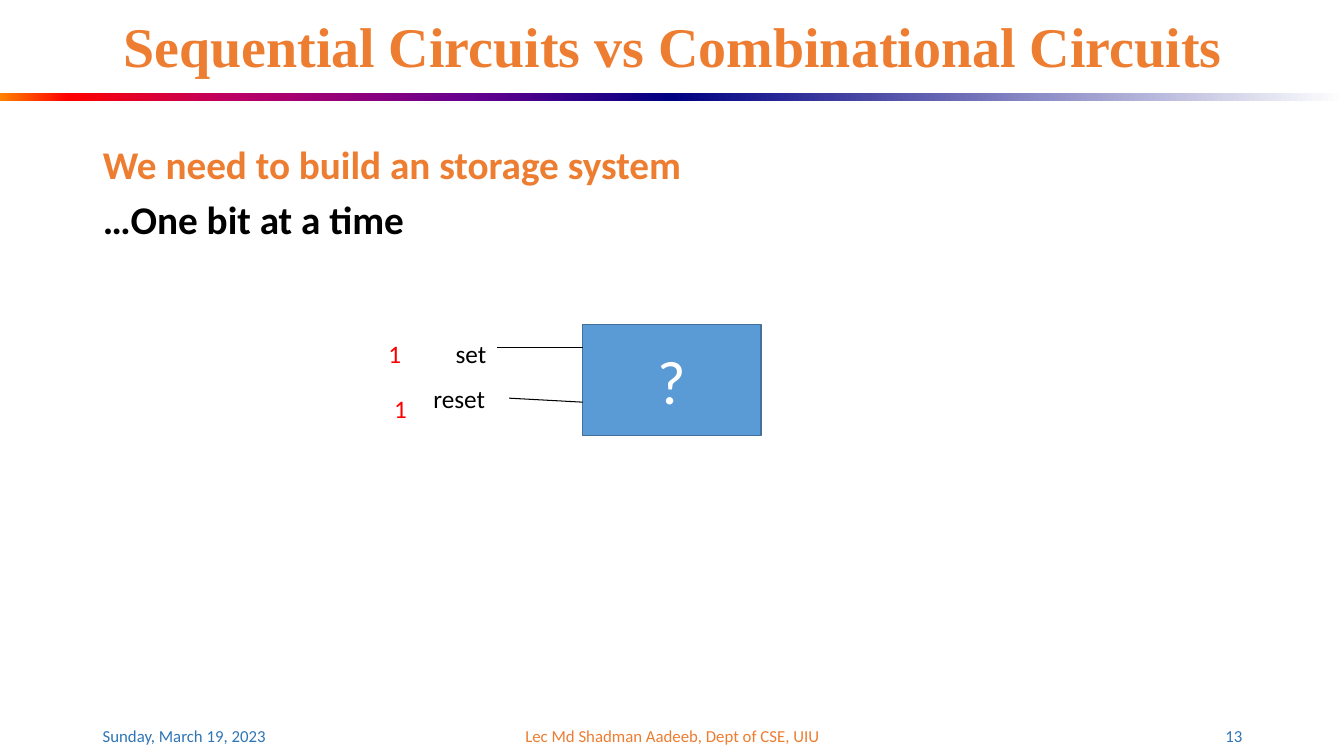
from lxml.etree import SubElement
from pptx import Presentation
from pptx.dml.color import RGBColor
from pptx.enum.shapes import MSO_CONNECTOR, MSO_SHAPE
from pptx.enum.text import MSO_ANCHOR, MSO_AUTO_SIZE, PP_ALIGN
from pptx.oxml.ns import qn
from pptx.util import Pt

EMU_PER_PX = 9144
SLIDE_WIDTH, SLIDE_HEIGHT = 1333, 750
COLORS = {
    "accent": "ED7D31",
    "text": "000000",
    "footer": "2E75B5",
    "box": "5B9BD5",
    "box_line": "42719B",
    "white": "FFFFFF",
    "signal": "FF0000",
}
RULE_GRADIENTS = [
    [(0, "FF8200"), (10, "FF0000"), (35, "BA0066"), (70, "66008F"), (100, "000082")],
    [(0, "000082"), (100, "FFFFFF")],
]


def px(*lengths):
    return [round(length * EMU_PER_PX) for length in lengths]


def color(name):
    return RGBColor.from_string(COLORS[name])


def format_paragraph(paragraph, size, color_name, align=PP_ALIGN.LEFT, bold=False, font="Calibri"):
    paragraph.alignment = align
    paragraph.font.name = font
    paragraph.font.size = Pt(size)
    paragraph.font.bold = bold
    paragraph.font.color.rgb = color(color_name)


def place(shape, box):
    shape.left, shape.top, shape.width, shape.height = px(*box)


def add_label(slide, box, text, size, color_name, align=PP_ALIGN.LEFT, anchor=MSO_ANCHOR.TOP, wrap=False):
    frame = slide.shapes.add_textbox(*px(*box)).text_frame
    frame.word_wrap = wrap
    frame.vertical_anchor = anchor
    frame.text = text
    format_paragraph(frame.paragraphs[0], size, color_name, align)


def add_header_rule(slide, box):
    left, top, width, height = box
    half = width / 2
    for index, stops in enumerate(RULE_GRADIENTS):
        bar = slide.shapes.add_shape(MSO_SHAPE.RECTANGLE, *px(left + index * half, top, half, height))
        bar.shadow.inherit = False
        bar.line.fill.background()
        bar.fill.gradient()
        bar.fill.gradient_angle = 0
        stop_list = bar.element.spPr.find(qn("a:gradFill")).find(qn("a:gsLst"))
        stop_list.clear()
        for position, value in stops:
            stop = SubElement(stop_list, qn("a:gs"), pos=str(position * 1000))
            SubElement(stop, qn("a:srgbClr"), val=value)


def add_title(slide, box):
    title = slide.shapes.title
    place(title, box)
    frame = title.text_frame
    frame.text = "Sequential Circuits vs Combinational Circuits"
    frame.auto_size = MSO_AUTO_SIZE.NONE
    frame.vertical_anchor = MSO_ANCHOR.MIDDLE
    format_paragraph(frame.paragraphs[0], 40, "accent", PP_ALIGN.CENTER, True, "Times New Roman")
    frame.paragraphs[0].line_spacing = 0.9


def add_body(slide, box):
    body = slide.placeholders[1]
    place(body, box)
    frame = body.text_frame
    frame.text = "We need to build an storage system\n…One bit at a time"
    frame.auto_size = MSO_AUTO_SIZE.NONE
    for paragraph, color_name, space in zip(frame.paragraphs, ("accent", "text"), (0, 5.6)):
        properties = paragraph._p.get_or_add_pPr()
        properties.set("marL", "0")
        properties.set("indent", "0")
        SubElement(properties, qn("a:buNone"))
        paragraph.space_before = Pt(space)
        format_paragraph(paragraph, 28, color_name, bold=True)


def add_storage_diagram(slide, box):
    left, top, width, height = box
    cell_left = left + 203
    cell = slide.shapes.add_shape(
        MSO_SHAPE.RECTANGLE, *px(cell_left, top, width - 203, height))
    cell.shadow.inherit = False
    cell.fill.solid()
    cell.fill.fore_color.rgb = color("box")
    cell.line.color.rgb = color("box_line")
    cell.line.width = Pt(1)
    cell.text_frame.text = "?"
    cell.text_frame.vertical_anchor = MSO_ANCHOR.MIDDLE
    format_paragraph(cell.text_frame.paragraphs[0], 44, "white", PP_ALIGN.CENTER)

    inputs = [
        ("set", (67, 9, 63, 40), (0, 9, 33, 40), (118, 23, 23)),
        ("reset", (45, 53, 85, 40), (6, 63, 21, 40), (130, 73, 77)),
    ]
    for name, name_box, value_box, (wire_left, wire_start, wire_end) in inputs:
        for text, (x, y, w, h), color_name, align in (
            (name, name_box, "text", PP_ALIGN.LEFT),
            ("1", value_box, "signal", PP_ALIGN.CENTER),
        ):
            add_label(slide, (left + x, top + y, w, h), text, 18, color_name, align)
        wire = slide.shapes.add_connector(
            MSO_CONNECTOR.STRAIGHT,
            *px(left + wire_left, top + wire_start, cell_left, top + wire_end))
        wire.line.color.rgb = color("text")
        wire.line.width = Pt(0.75)
        SubElement(wire.element.spPr, qn("a:effectLst"))


def add_footer(slide, box):
    left, top, width, height = box
    parts = [
        (0, 300, "Sunday, March 19, 2023", "footer", PP_ALIGN.LEFT),
        ((width - 450) / 2, 450, "Lec Md Shadman Aadeeb, Dept of CSE, UIU", "accent", PP_ALIGN.CENTER),
        (width - 300, 300, "13", "footer", PP_ALIGN.RIGHT),
    ]
    for offset, part_width, text, color_name, align in parts:
        add_label(slide, (left + offset, top, part_width, height), text, 12,
                  color_name, align, MSO_ANCHOR.MIDDLE, True)


def main():
    presentation = Presentation()
    presentation.slide_width, presentation.slide_height = px(SLIDE_WIDTH, SLIDE_HEIGHT)
    slide = presentation.slides.add_slide(presentation.slide_layouts[1])
    add_header_rule(slide, (0, 92, SLIDE_WIDTH, 8))
    add_title(slide, (92, 16, 1150, 66))
    add_body(slide, (92, 134, 1150, 541))
    add_storage_diagram(slide, (375, 322, 380, 110))
    add_footer(slide, (92, 710, 1150, 40))
    presentation.save("out.pptx")


if __name__ == "__main__":
    main()
